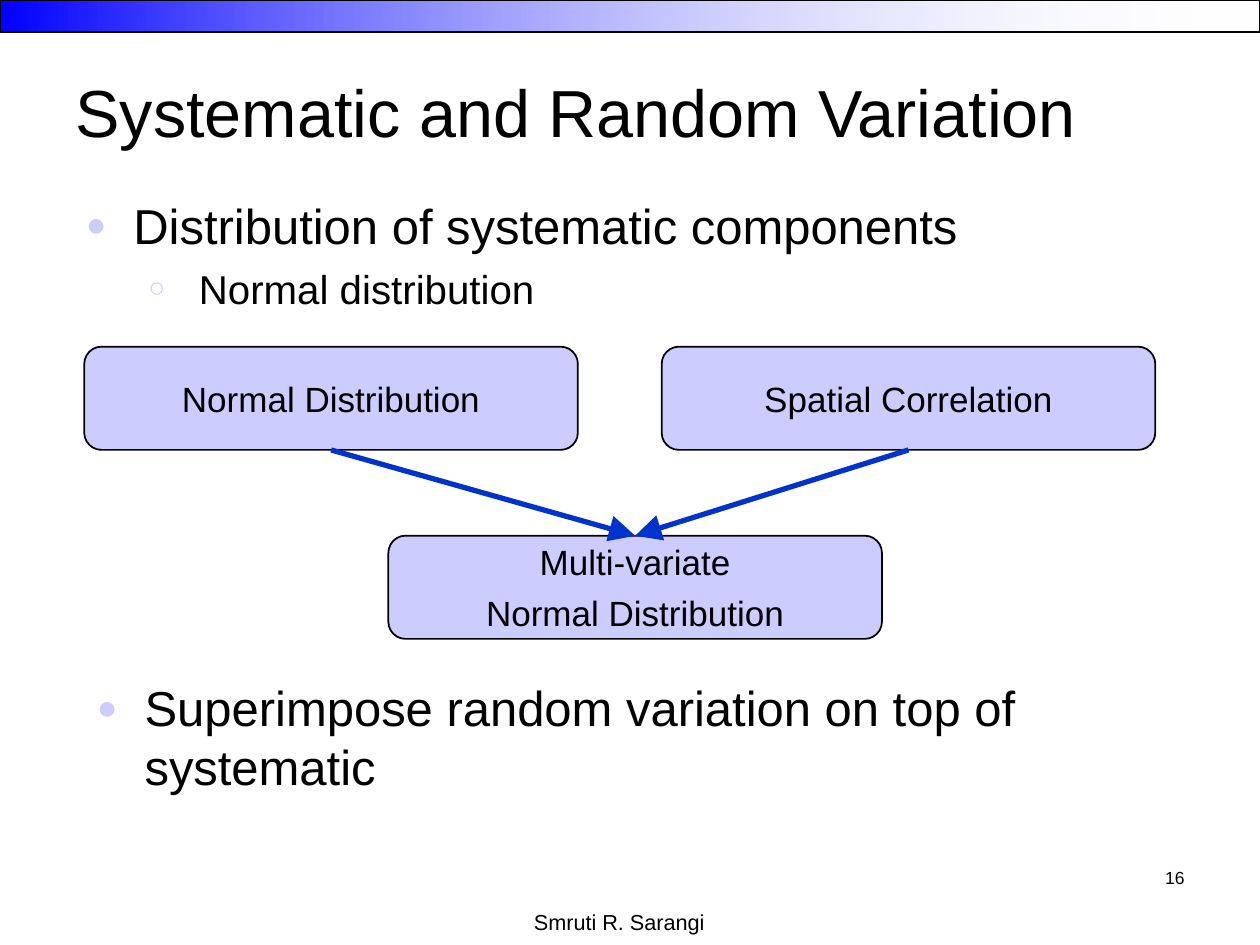
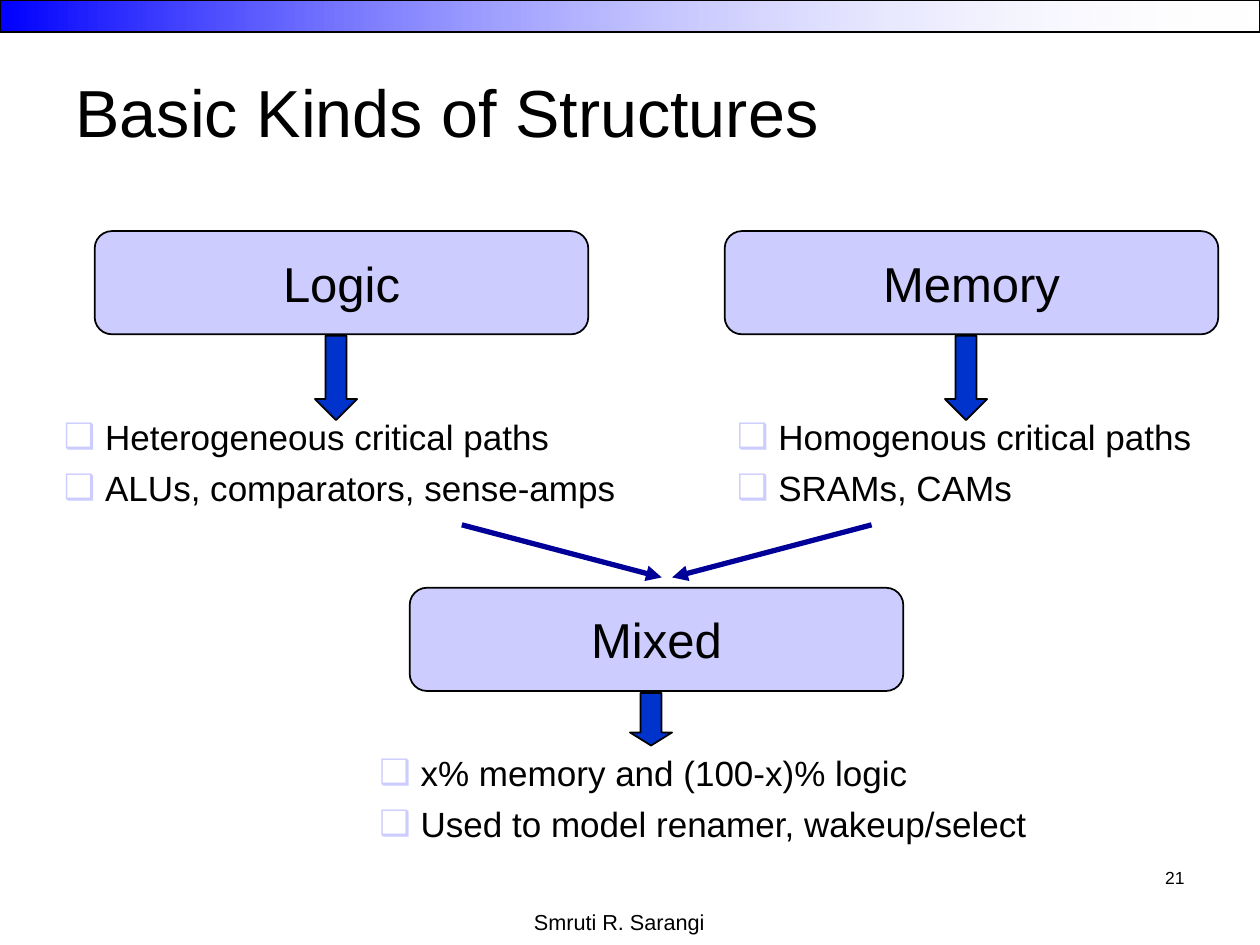
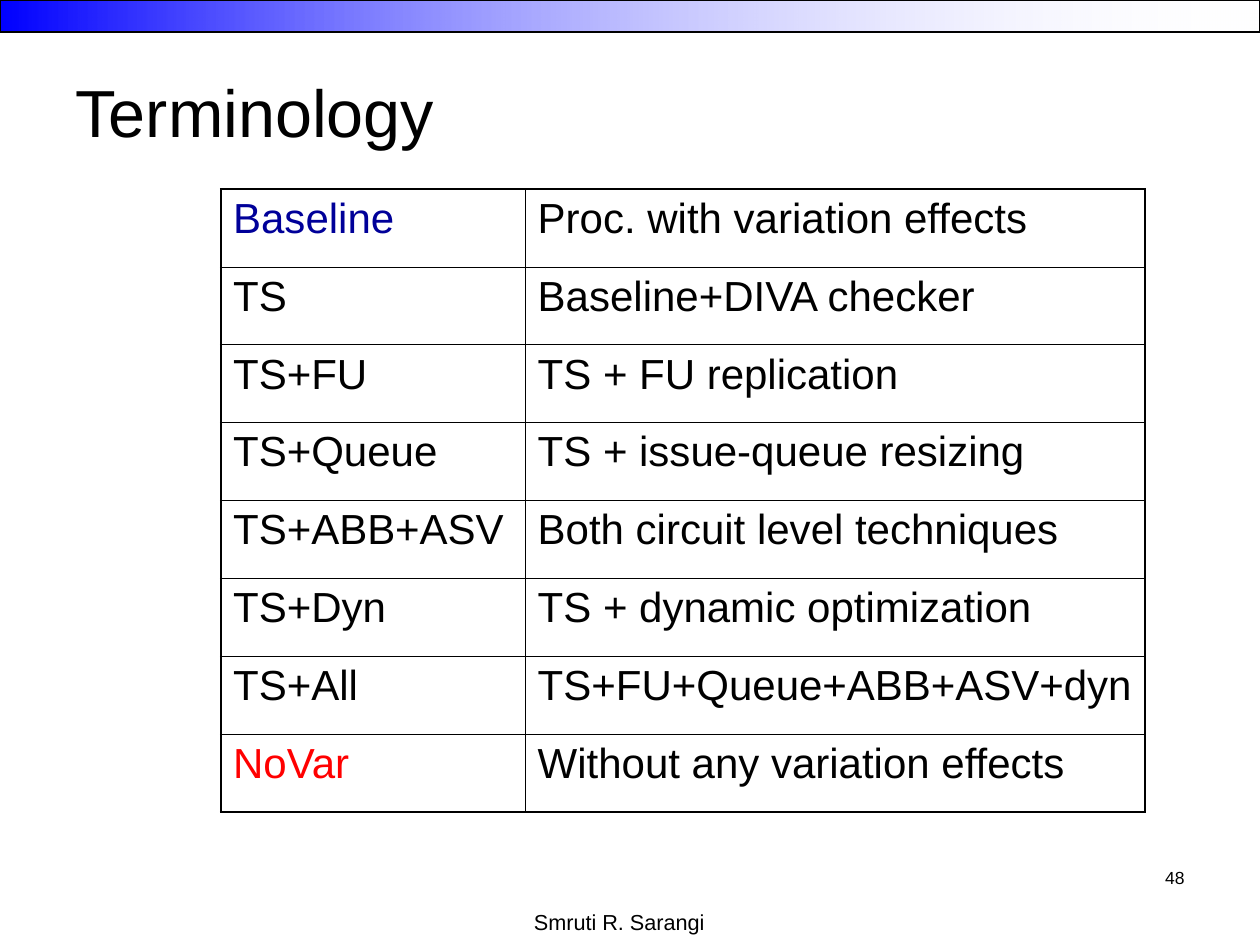
from dataclasses import dataclass

from lxml.etree import SubElement
from pptx import Presentation
from pptx.dml.color import RGBColor as Rgb
from pptx.enum.shapes import MSO_CONNECTOR as Link, MSO_SHAPE as Shape
from pptx.enum.text import MSO_ANCHOR as Anchor, MSO_AUTO_SIZE as Fit, PP_ALIGN as Align
from pptx.oxml.ns import qn
from pptx.util import Cm, Pt


@dataclass(frozen=True)
class Theme:
    font: str = "Arial"
    ink: str = "000000"
    paper: str = "FFFFFF"
    band: str = "0000FF"
    panel: str = "CCCCFF"
    arrow: str = "0033CC"
    navy: str = "000099"
    red: str = "FF0000"
    title: float = 38
    large: float = 28
    cell: float = 24
    medium: float = 23
    small: float = 20
    footer: float = 12.4
    number: float = 10


@dataclass(frozen=True)
class Bullet:
    sign: str
    scale: int
    margin: float
    hang: float
    size: float
    before: float
    level: int = 0


THEME = Theme()
DISC = Bullet("●", 70, 0.96, 0.96, THEME.large, 7)
RING = Bullet("○", 70, 2.28, 1.02, THEME.medium, 5.8, 1)
SQUARE = Bullet("❑", 100, 0.83, 0.83, THEME.small, 5)
PANEL_WIDTH, PANEL_HEIGHT = 9.95, 2.08
ARROW_WIDTH = 0.85
COLUMN_STEP = 12.7


def color(code):
    return Rgb.from_string(code)


def write(para, text, size=THEME.small, ink=THEME.ink, align=Align.LEFT, before=0):
    para.alignment = align
    para.space_before = Pt(before)
    span = para.add_run()
    span.text = text
    span.font.name = THEME.font
    span.font.size = Pt(size)
    span.font.color.rgb = color(ink)


def next_para(frame, index):
    return frame.paragraphs[0] if index == 0 else frame.add_paragraph()


def place(box, left, top, width, height):
    box.left, box.top, box.width, box.height = map(Cm, (left, top, width, height))


def set_bullet(para, bullet):
    para.level = bullet.level
    props = para._p.get_or_add_pPr()
    props.set("marL", str(Cm(bullet.margin)))
    props.set("indent", str(-Cm(bullet.hang)))
    tint = SubElement(props, qn("a:buClr"))
    SubElement(tint, qn("a:srgbClr"), val=THEME.panel)
    SubElement(props, qn("a:buSzPct"), val=str(bullet.scale * 1000))
    SubElement(props, qn("a:buFont"), typeface=THEME.font)
    SubElement(props, qn("a:buChar"), char=bullet.sign)


def fill_list(box, items):
    frame = box.text_frame
    frame.word_wrap = True
    frame.auto_size = Fit.NONE
    for index, (text, bullet) in enumerate(items):
        para = next_para(frame, index)
        set_bullet(para, bullet)
        write(para, text, size=bullet.size, before=bullet.before if index else 0)


def add_list(page, left, top, width, height, items):
    box = page.shapes.add_textbox(Cm(left), Cm(top), Cm(width), Cm(height))
    fill_list(box, items)


def add_label(page, left, top, width, height, text, **style):
    box = page.shapes.add_textbox(Cm(left), Cm(top), Cm(width), Cm(height))
    box.text_frame.word_wrap = True
    write(box.text_frame.paragraphs[0], text, **style)


def add_outlined(page, kind, left, top, width, height):
    shape = page.shapes.add_shape(kind, Cm(left), Cm(top), Cm(width), Cm(height))
    shape.shadow.inherit = False
    shape.line.color.rgb = color(THEME.ink)
    shape.line.width = Pt(1)
    return shape


def add_panel(page, left, top, lines, size=THEME.small, before=5):
    panel = add_outlined(page, Shape.ROUNDED_RECTANGLE, left, top, PANEL_WIDTH, PANEL_HEIGHT)
    panel.fill.solid()
    panel.fill.fore_color.rgb = color(THEME.panel)
    frame = panel.text_frame
    frame.word_wrap = False
    frame.vertical_anchor = Anchor.MIDDLE
    for index, text in enumerate(lines):
        write(next_para(frame, index), text, size=size, align=Align.CENTER,
              before=before if index else 0)
    return panel


def add_down_arrow(page, left, top, height, head=0.5):
    arrow = add_outlined(page, Shape.DOWN_ARROW, left, top, ARROW_WIDTH, height)
    arrow.adjustments[1] = head
    arrow.fill.solid()
    arrow.fill.fore_color.rgb = color(THEME.arrow)


def add_arrow(page, start, end, ink, head):
    arrow = page.shapes.add_connector(Link.STRAIGHT, *map(Cm, (*start, *end)))
    arrow.line.color.rgb = color(ink)
    arrow.line.width = Pt(3)
    SubElement(arrow.line._get_or_add_ln(), qn("a:tailEnd"), type="triangle", w=head, len=head)
    SubElement(arrow.element.spPr, qn("a:effectLst"))
    return arrow


def join_panels(page, source, target):
    arrow = add_arrow(page, (0, 0), (1, 1), THEME.arrow, "lg")
    arrow.begin_connect(source, 2)
    arrow.end_connect(target, 0)


def add_master_band(deck, page):
    band = add_outlined(page, Shape.RECTANGLE, 0, 0, 25.4, 0.64)
    band.fill.gradient()
    band.fill.gradient_angle = 0
    for stop, code in zip(band.fill.gradient_stops, (THEME.band, THEME.paper)):
        stop.color.rgb = color(code)
    stops = list(band.element.spPr.find(qn("a:gradFill")).iter(qn("a:srgbClr")))
    SubElement(stops[-1], qn("a:alpha"), val="2000")
    deck.slide_master.element.cSld.spTree.insert(2, band.element)


def add_page(deck, layout, title, number):
    page = deck.slides.add_slide(deck.slide_layouts.get_by_name(layout))
    heading = page.shapes.title
    place(heading, 1.27, 0.64, 22.86, 3.18)
    heading.text_frame.vertical_anchor = Anchor.MIDDLE
    heading.text_frame.auto_size = Fit.NONE
    write(heading.text_frame.paragraphs[0], title, size=THEME.title)
    add_label(page, 8.46, 18.2, 8.05, 0.85, "Smruti R. Sarangi",
              size=THEME.footer, align=Align.CENTER)
    add_label(page, 18.2, 17.36, 5.93, 1.27, number, size=THEME.number, align=Align.RIGHT)
    return page


def set_borders(cell, widths):
    props = cell._tc.get_or_add_tcPr()
    for side, width in widths.items():
        line = SubElement(props, qn(f"a:ln{side}"), w=str(Pt(width)))
        SubElement(SubElement(line, qn("a:solidFill")), qn("a:srgbClr"), val=THEME.ink)


def add_terms(page, left, top, columns, row_height, rows, inks):
    frame = page.shapes.add_table(len(rows), len(columns), Cm(left), Cm(top),
                                  Cm(sum(columns)), Cm(row_height * len(rows)))
    table = frame.table
    table.first_row = table.horz_banding = False
    for column, width in zip(table.columns, columns):
        column.width = Cm(width)
    outer, inner = 1.08, 0.45
    for i, row in enumerate(rows):
        table.rows[i].height = Cm(row_height)
        for j, text in enumerate(row):
            cell = table.cell(i, j)
            set_borders(cell, {
                "L": outer if j == 0 else inner,
                "R": outer if j == len(columns) - 1 else inner,
                "T": outer if i == 0 else inner,
                "B": outer if i == len(rows) - 1 else inner,
            })
            cell.fill.background()
            cell.margin_left = cell.margin_right = Cm(0.25)
            write(cell.text_frame.paragraphs[0], text, size=THEME.cell,
                  ink=inks.get(text, THEME.ink))


def build_variation(deck):
    page = add_page(deck, "Title and Content", "Systematic and Random Variation", "16")
    add_master_band(deck, page)
    body = page.placeholders[1]
    place(body, 1.7, 13.54, 22.43, 3.18)
    fill_list(body, [("Superimpose random variation on top of systematic", DISC)])
    add_list(page, 1.48, 3.81, 20.75, 3.18,
             [("Distribution of systematic components", DISC), ("Normal distribution", RING)])
    sources = [add_panel(page, left, 6.99, [text]) for left, text in
               ((1.7, "Normal Distribution"), (13.34, "Spatial Correlation"))]
    result = add_panel(page, 7.83, 10.8, ["Multi-variate", "Normal Distribution"])
    for source in sources:
        join_panels(page, source, result)


def build_structures(deck):
    page = add_page(deck, "Title Only", "Basic Kinds of Structures", "21")
    columns = (
        ("Logic", 1.04, 11.75, ("Heterogeneous critical paths", "ALUs, comparators, sense-amps")),
        ("Memory", 14.61, 9.8, ("Homogenous critical paths", "SRAMs, CAMs")),
    )
    for index, (name, list_left, list_width, items) in enumerate(columns):
        shift = index * COLUMN_STEP
        add_panel(page, 1.91 + shift, 4.66, [name], size=THEME.large)
        add_down_arrow(page, 6.35 + shift, 6.77, 1.7)
        add_list(page, list_left, 8.26, list_width, 2.13, [(item, SQUARE) for item in items])
    for start, end in ((9.31, 13.34), (17.57, 13.55)):
        add_arrow(page, (start, 10.58), (end, 11.64), THEME.navy, "med")
    add_panel(page, 8.26, 11.85, ["Mixed"], size=THEME.large)
    add_down_arrow(page, 12.7, 13.97, 1.06, head=0.31)
    add_list(page, 7.4, 15.03, 13.7, 2.13,
             [("x% memory and (100-x)% logic", SQUARE),
              ("Used to model renamer, wakeup/select", SQUARE)])


def build_terminology(deck):
    page = add_page(deck, "Title Only", "Terminology", "48")
    rows = (
        ("Baseline", "Proc. with variation effects"),
        ("TS", "Baseline+DIVA checker"),
        ("TS+FU", "TS + FU replication"),
        ("TS+Queue", "TS + issue-queue resizing"),
        ("TS+ABB+ASV", "Both circuit level techniques"),
        ("TS+Dyn", "TS + dynamic optimization"),
        ("TS+All", "TS+FU+Queue+ABB+ASV+dyn"),
        ("NoVar", "Without any variation effects"),
    )
    add_terms(page, 4.45, 3.81, (6.14, 12.49), 1.57, rows,
              {"Baseline": THEME.navy, "NoVar": THEME.red})


def main():
    deck = Presentation()
    deck.slide_width, deck.slide_height = Cm(25.4), Cm(19.05)
    build_variation(deck)
    build_structures(deck)
    build_terminology(deck)
    deck.save("out.pptx")


if __name__ == "__main__":
    main()
